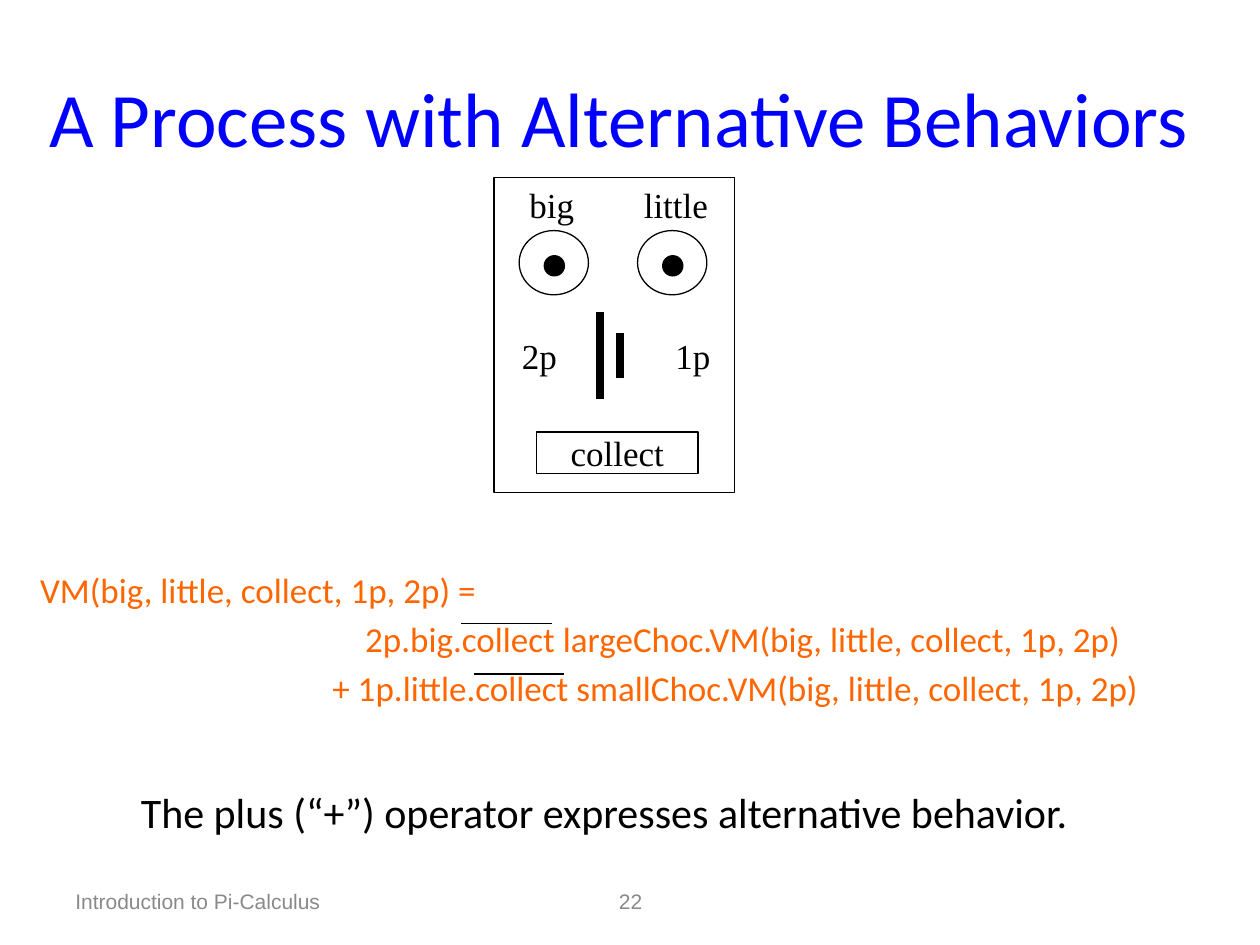
from dataclasses import dataclass

from lxml import etree
from pptx import Presentation
from pptx.dml.color import RGBColor
from pptx.enum.shapes import MSO_CONNECTOR, MSO_SHAPE
from pptx.enum.text import MSO_ANCHOR, PP_ALIGN
from pptx.oxml.ns import qn
from pptx.shapes.base import BaseShape
from pptx.shapes.shapetree import _BaseGroupShapes as ShapeTree
from pptx.util import Inches, Pt

LEFT, CENTER = PP_ALIGN.LEFT, PP_ALIGN.CENTER
MIDDLE = MSO_ANCHOR.MIDDLE
RECT, OVAL = MSO_SHAPE.RECTANGLE, MSO_SHAPE.OVAL
STRAIGHT = MSO_CONNECTOR.STRAIGHT

COLORS = {"black": "000000", "title": "0000FF", "formula": "FF6600", "footer": "898989"}

# Grid of 100 columns by 75 rows
SLIDE_W, SLIDE_H = Inches(10), Inches(7.5)
COL, ROW = SLIDE_W / 100, SLIDE_H / 75
THIN, THICK = 0.75, 4.5


@dataclass(frozen=True)
class Area:
    col: float
    row: float
    cols: float
    rows: float

    def emu(self) -> tuple[int, int, int, int]:
        return (round(self.col * COL), round(self.row * ROW),
                round(self.cols * COL), round(self.rows * ROW))


@dataclass(frozen=True)
class Style:
    font: str
    size: int
    color: str
    align: PP_ALIGN = CENTER
    wrap: bool = True


@dataclass(frozen=True)
class Line:
    text: str
    indent: float = 0  # columns


TITLE = Style("Calibri", 44, "title")
FORMULA = Style("Calibri", 20, "formula", LEFT)
REMARK = Style("Calibri", 24, "black")
LABEL = Style("Times New Roman", 20, "black", wrap=False)
FOOTER = Style("Arial", 12, "footer", LEFT)
PAGE_NUMBER = Style("Arial", 12, "footer")


def rgb(name: str) -> RGBColor:
    return RGBColor.from_string(COLORS[name])


def write(holder: BaseShape, lines: list[Line], style: Style) -> None:
    frame = holder.text_frame
    frame.word_wrap = style.wrap
    frame.vertical_anchor = MIDDLE
    frame.text = "\n".join(line.text for line in lines)
    for number, (paragraph, line) in enumerate(zip(frame.paragraphs, lines)):
        paragraph.alignment = style.align
        if number:
            paragraph.space_before = Pt(style.size * 0.2)
        if line.indent:
            paragraph._p.get_or_add_pPr().set("marL", str(round(line.indent * COL)))
        for run in paragraph.runs:
            run.font.name = style.font
            run.font.size = Pt(style.size)
            run.font.color.rgb = rgb(style.color)


def add_text(tree: ShapeTree, area: Area, style: Style, *lines: Line) -> None:
    write(tree.add_textbox(*area.emu()), list(lines), style)


def add_outline(tree: ShapeTree, preset: MSO_SHAPE, area: Area,
                filled: bool = False) -> BaseShape:
    outline = tree.add_shape(preset, *area.emu())
    outline.shadow.inherit = False
    if filled:
        outline.fill.solid()
        outline.fill.fore_color.rgb = rgb("black")
    else:
        outline.fill.background()
    outline.line.color.rgb = rgb("black")
    outline.line.width = Pt(THIN)
    return outline


def add_stroke(tree: ShapeTree, area: Area, width: float) -> None:
    x, y, w, h = area.emu()
    stroke = tree.add_connector(STRAIGHT, x, y, x + w, y + h)
    stroke.line.color.rgb = rgb("black")
    stroke.line.width = Pt(width)
    etree.SubElement(stroke._element.spPr, qn("a:effectLst"))


def add_vending_machine(tree: ShapeTree) -> None:
    add_outline(tree, RECT, Area(39.2, 14.1, 19.1, 25))

    # Buttons
    for col in (41.2, 50.6):
        add_outline(tree, OVAL, Area(col, 18.3, 5.5, 5.1))
        add_outline(tree, OVAL, Area(col + 2, 20.3, 1.6, 1.6), filled=True)
    add_text(tree, Area(41, 14.1, 5.6, 4.3), LABEL, Line("big"))
    add_text(tree, Area(50.1, 14.1, 7.1, 4.3), LABEL, Line("little"))

    # Coin slots
    add_stroke(tree, Area(47.6, 24.8, 0, 6.9), THICK)
    add_stroke(tree, Area(49.2, 26.4, 0, 3.6), THICK)
    for coin, col in (("1p", 52.6), ("2p", 40.4)):
        add_text(tree, Area(col, 26.1, 4.8, 4.3), LABEL, Line(coin))

    # Collection tray
    tray = add_outline(tree, RECT, Area(42.6, 34.3, 12.8, 3.3))
    write(tray, [Line("collect")], LABEL)


def main() -> None:
    deck = Presentation()
    deck.slide_width, deck.slide_height = SLIDE_W, SLIDE_H
    tree = deck.slides.add_slide(deck.slide_layouts[6]).shapes

    # Footer and title
    add_text(tree, Area(5, 69.5, 23.3, 4), FOOTER, Line("Introduction to Pi-Calculus"))
    add_text(tree, Area(34.2, 69.5, 31.7, 4), PAGE_NUMBER, Line("22"))
    add_text(tree, Area(1.1, 3, 96.1, 12.5), TITLE,
             Line("A Process with Alternative Behaviors"))

    add_vending_machine(tree.add_group_shape().shapes)

    # Process definition
    add_text(tree, Area(2.2, 44.4, 95.7, 12.5), FORMULA,
             Line("VM(big, little, collect, 1p, 2p) ="),
             Line("2p.big.collect largeChoc.VM(big, little, collect, 1p, 2p)", 25.8),
             Line("+ 1p.little.collect smallChoc.VM(big, little, collect, 1p, 2p)", 23.2))
    add_text(tree, Area(2.2, 61.9, 91.5, 5.1), REMARK,
             Line("The plus (“+”) operator expresses alternative behavior."))

    # Bars over the output actions
    for col, row in ((36.6, 49.5), (37.6, 53.5)):
        add_stroke(tree, Area(col, row, 7.2, 0), THIN)

    deck.save("out.pptx")


if __name__ == "__main__":
    main()
